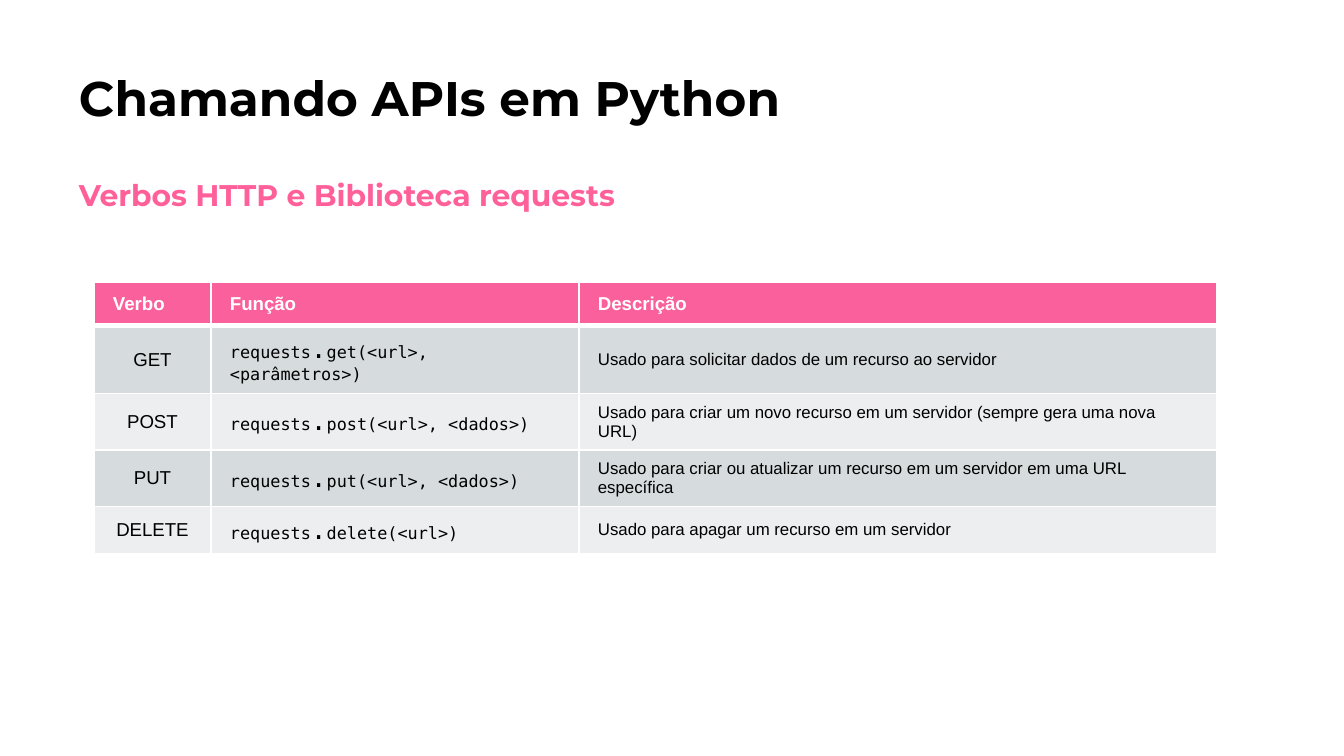
from dataclasses import dataclass

from lxml import etree
from pptx import Presentation
from pptx import util as u
from pptx.dml.color import RGBColor
from pptx.enum import text
from pptx.oxml.ns import qn

TITLE = "Chamando APIs em Python"
SUBTITLE = "Verbos HTTP e Biblioteca requests"
HEADERS = ["Verbo", "Função", "Descrição"]
VERBS = [
    ("GET", "get(<url>, <parâmetros>)",
     "Usado para solicitar dados de um recurso ao servidor"),
    ("POST", "post(<url>, <dados>)",
     "Usado para criar um novo recurso em um servidor (sempre gera uma nova URL)"),
    ("PUT", "put(<url>, <dados>)",
     "Usado para criar ou atualizar um recurso em um servidor em uma URL específica"),
    ("DELETE", "delete(<url>)",
     "Usado para apagar um recurso em um servidor"),
]

SLIDE_SIZE = (1344, 756)
TITLE_BOX = (66, 55, 1052, 86)
SUBTITLE_BOX = (66, 164, 582, 63)
TABLE_ORIGIN = (94, 282)
COLUMN_WIDTHS = [117, 368, 638]
ROW_HEIGHT = 44
BOX_INSET = 13
CELL_INSETS = (19, 8)


@dataclass(frozen=True)
class Theme:
    heading_font: str = "Montserrat"
    body_font: str = "Arial"
    code_font: str = "DejaVu Sans Mono"
    black: str = "000000"
    white: str = "FFFFFF"
    accent: str = "FF609A"
    header_fill: str = "FA609B"
    row_fills: tuple = ("D6DBDE", "ECEEEF")
    title_size: int = 26
    subtitle_size: int = 16
    label_size: int = 10
    body_size: int = 9
    dot_size: int = 14
    border: int = 1
    header_rule: int = 3


THEME = Theme()


def px(length):
    return u.Emu(round(length * 914400 / 134.4))


def add_span(para, words, size, color=THEME.black, font=THEME.body_font, bold=False):
    span = para.add_run()
    span.text = words
    span.font.name = font
    span.font.size = u.Pt(size)
    span.font.bold = bold
    span.font.color.rgb = RGBColor.from_string(color)


def fill_heading(box, place, words, size, color):
    box.left, box.top, box.width, box.height = map(px, place)
    frame = box.text_frame
    frame.word_wrap = True
    frame.auto_size = text.MSO_AUTO_SIZE.SHAPE_TO_FIT_TEXT
    frame.vertical_anchor = text.MSO_ANCHOR.TOP
    frame.margin_left = frame.margin_right = px(BOX_INSET)
    frame.margin_top = frame.margin_bottom = px(BOX_INSET)
    para = frame.paragraphs[0]
    para.alignment = text.PP_ALIGN.LEFT
    add_span(para, words, size, color, THEME.heading_font, True)


def set_borders(cell, widths):
    """Draw white edges; widths maps L, R, T and B to points."""
    properties = cell._tc.get_or_add_tcPr()
    for position, (side, width) in enumerate(widths.items()):
        line = etree.Element(qn(f"a:ln{side}"), w=str(u.Pt(width)))
        solid = etree.SubElement(line, qn("a:solidFill"))
        etree.SubElement(solid, qn("a:srgbClr"), val=THEME.white)
        properties.insert(position, line)


def style_cell(cell, fill, top, bottom):
    cell.fill.solid()
    cell.fill.fore_color.rgb = RGBColor.from_string(fill)
    cell.vertical_anchor = text.MSO_ANCHOR.MIDDLE
    cell.margin_left = cell.margin_right = px(CELL_INSETS[0])
    cell.margin_top = cell.margin_bottom = px(CELL_INSETS[1])
    set_borders(cell, {"L": THEME.border, "R": THEME.border, "T": top, "B": bottom})


def add_verb_table(slide):
    rows, columns = len(VERBS) + 1, len(HEADERS)
    table = slide.shapes.add_table(
        rows, columns, *map(px, TABLE_ORIGIN),
        px(sum(COLUMN_WIDTHS)), px(ROW_HEIGHT * rows)).table
    for column, width in zip(table.columns, COLUMN_WIDTHS):
        column.width = px(width)

    for index in range(rows):
        fill = THEME.row_fills[(index - 1) % 2] if index else THEME.header_fill
        top = THEME.header_rule if index == 1 else THEME.border
        bottom = THEME.header_rule if index == 0 else THEME.border
        for cell in table.rows[index].cells:
            style_cell(cell, fill, top, bottom)

    for cell, label in zip(table.rows[0].cells, HEADERS):
        add_span(cell.text_frame.paragraphs[0], label, THEME.label_size,
                 THEME.white, bold=True)

    for index, (verb, call, description) in enumerate(VERBS, start=1):
        verb_para, code_para, description_para = (
            cell.text_frame.paragraphs[0] for cell in table.rows[index].cells)
        verb_para.alignment = text.PP_ALIGN.CENTER
        add_span(verb_para, verb, THEME.label_size)
        for words, size in (("requests", THEME.body_size), (".", THEME.dot_size),
                            (call, THEME.body_size)):
            add_span(code_para, words, size, font=THEME.code_font)
        add_span(description_para, description, THEME.body_size)


def main():
    deck = Presentation()
    deck.slide_width, deck.slide_height = map(px, SLIDE_SIZE)
    slide = deck.slides.add_slide(deck.slide_layouts[5])
    fill_heading(slide.shapes.title, TITLE_BOX, TITLE, THEME.title_size, THEME.black)
    subtitle = slide.shapes.add_textbox(*map(px, SUBTITLE_BOX))
    fill_heading(subtitle, SUBTITLE_BOX, SUBTITLE, THEME.subtitle_size, THEME.accent)
    add_verb_table(slide)
    deck.save("out.pptx")


if __name__ == "__main__":
    main()
